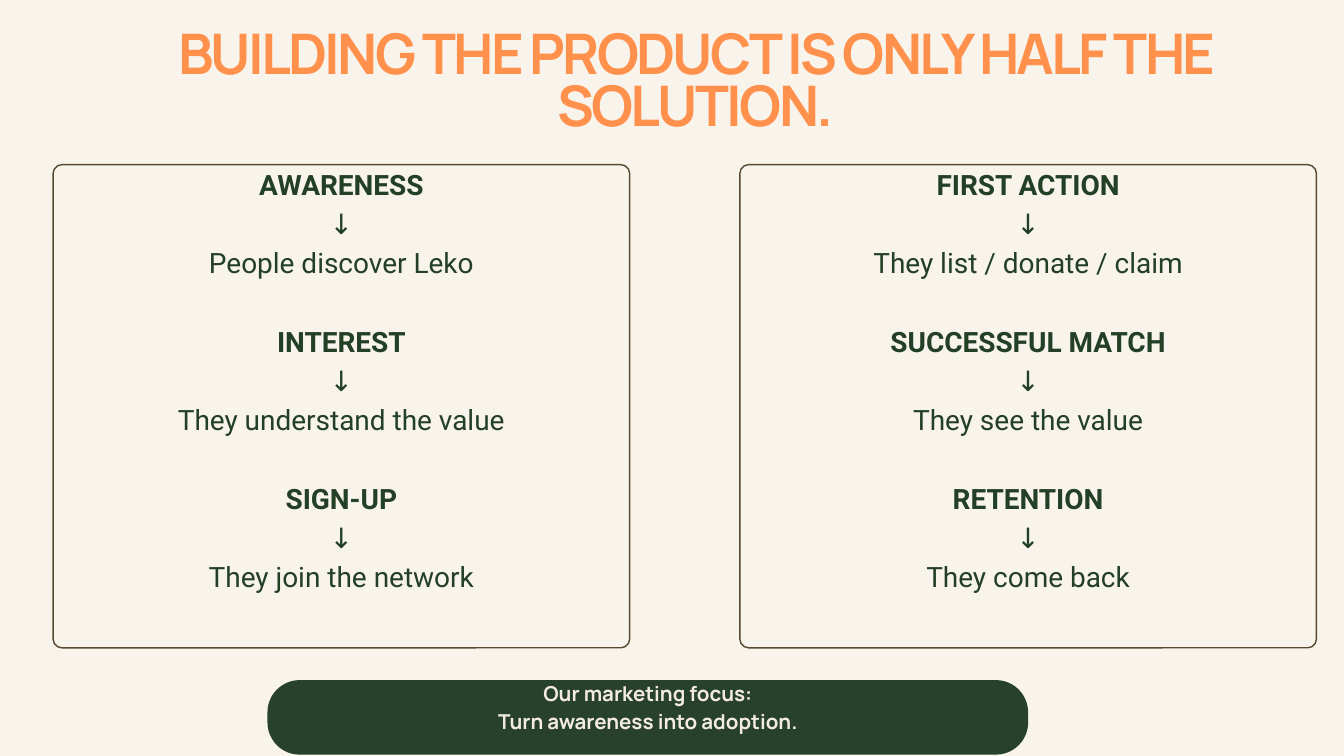
"""Build the slide on the path from awareness to adoption."""
import pptx
import pptx.util
import pptx.dml.color
import pptx.enum.shapes
import pptx.enum.text

Inches = pptx.util.Inches
Pt = pptx.util.Pt
RGBColor = pptx.dml.color.RGBColor
ANCHOR = pptx.enum.text.MSO_ANCHOR

CREAM = RGBColor(0xF8, 0xF4, 0xEC)
ORANGE = RGBColor(0xFF, 0x91, 0x4D)
BROWN = RGBColor(0x59, 0x48, 0x32)
GREEN = RGBColor(0x23, 0x3F, 0x25)
DARK = RGBColor(0x28, 0x41, 0x2E)
PALE = RGBColor(0xF4, 0xEC, 0xE3)

deck = pptx.Presentation()
deck.slide_width = Inches(20)
deck.slide_height = Inches(11.25)
slide = deck.slides.add_slide(deck.slide_layouts[6])
slide.background.fill.solid()
slide.background.fill.fore_color.rgb = CREAM


def add_text(left, top, width, height, lines, font, size, color, lead, pad, anchor):
    box = slide.shapes.add_textbox(Inches(left), Inches(top), Inches(width), Inches(height))
    frame = box.text_frame
    frame.word_wrap = True
    frame.vertical_anchor = anchor
    frame.margin_left = frame.margin_right = Inches(pad)
    frame.margin_top = frame.margin_bottom = Inches(pad)
    frame.text = "\n".join(lines)
    for para in frame.paragraphs:
        para.alignment = pptx.enum.text.PP_ALIGN.CENTER
        para.line_spacing = Pt(lead)
        for run in para.runs:
            run.font.name = font
            run.font.size = Pt(size)
            run.font.bold = True
            run.font.color.rgb = color
    return frame


def add_panel(left, top, width, height, radius):
    panel = slide.shapes.add_shape(
        pptx.enum.shapes.MSO_SHAPE.ROUNDED_RECTANGLE,
        Inches(left), Inches(top), Inches(width), Inches(height))
    panel.adjustments[0] = radius / min(width, height)
    panel.shadow.inherit = False
    return panel


title = add_text(1.12, 0.5, 18.46, 1.66, ["BUILDING THE PRODUCT IS ONLY HALF THE SOLUTION."],
                 "Manrope", 60, ORANGE, 55.8, 0, ANCHOR.TOP)
title.paragraphs[0].runs[0]._r.get_or_add_rPr().set("spc", "-290")

columns = [
    (0.79, [("AWARENESS", "People discover Leko"),
            ("INTEREST", "They understand the value"),
            ("SIGN-UP", "They join the network")]),
    (11.01, [("FIRST ACTION", "They list / donate / claim"),
             ("SUCCESSFUL MATCH", "They see the value"),
             ("RETENTION", "They come back")]),
]
for left, stages in columns:
    card = add_panel(left, 2.45, 8.58, 7.19, 0.13)
    card.fill.background()
    card.line.color.rgb = BROWN
    card.line.width = Pt(1.5)
    lines = [line for head, result in stages for line in (head, "↓", result)]
    frame = add_text(left, 2.18, 8.58, 7.46, lines, "Roboto", 30, GREEN, 42, 0.06, ANCHOR.TOP)
    frame.margin_top = Inches(0.23)
    for spot, para in enumerate(frame.paragraphs):
        para.runs[0].font.bold = spot % 3 == 0
        if spot and spot % 3 == 0:
            para.space_before = Pt(42)

pill = add_panel(3.98, 10.12, 11.32, 1.11, 0.48)
pill.fill.solid()
pill.fill.fore_color.rgb = DARK
pill.line.fill.background()
add_text(3.98, 9.76, 11.32, 1.47, ["Our marketing focus:", "Turn awareness into adoption."],
         "Manrope", 22, PALE, 30.8, 0.06, ANCHOR.MIDDLE)

deck.save("out.pptx")
